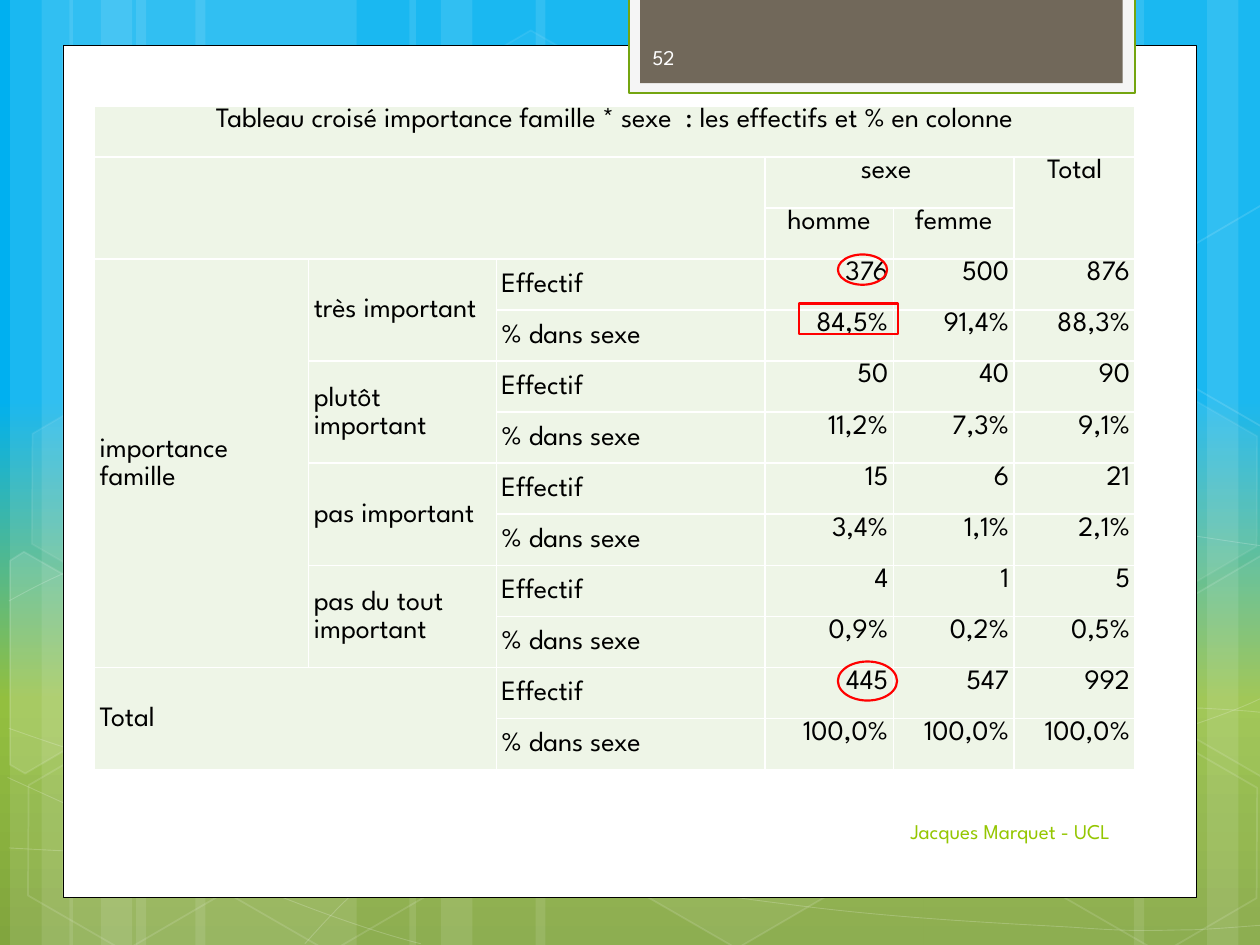
from copy import deepcopy
from typing import NamedTuple, Optional

from lxml.etree import SubElement
from pptx import Presentation
from pptx.dml.color import RGBColor
from pptx.enum.shapes import MSO_SHAPE as Shape
from pptx.enum.text import MSO_ANCHOR as Anchor, PP_ALIGN as Align
from pptx.oxml.ns import qn
from pptx.util import Inches, Pt

WHITE = RGBColor(0xFF, 0xFF, 0xFF)
BLACK = RGBColor(0, 0, 0)
RED = RGBColor(0xFF, 0, 0)
SKY = RGBColor(0x00, 0xB0, 0xF0)
MEADOW = RGBColor(0x93, 0xBF, 0x3F)
GRASS = RGBColor(0x81, 0xA5, 0x3E)
PALE_GREEN = RGBColor(0xEE, 0xF5, 0xE7)
OFF_WHITE = RGBColor(0xF5, 0xF5, 0xF5)
TAB_GREEN = RGBColor(0x74, 0xA5, 0x10)
TAUPE = RGBColor(0x71, 0x68, 0x5A)
LIME = RGBColor(0x94, 0xC6, 0x00)
NEAR_WHITE = RGBColor(0xFE, 0xFE, 0xFE)
FONT = "League Spartan"


class Paint(NamedTuple):
    fill: Optional[RGBColor] = None
    fill_alpha: int = 100
    line: Optional[RGBColor] = None
    line_width: float = 1
    line_alpha: int = 100


class Box(NamedTuple):
    kind: Shape
    left: float
    top: float
    width: float
    height: float
    paint: Paint


class Hexagon(NamedTuple):
    left: float
    top: float
    fill_alpha: int
    line_alpha: int


class Cropped(NamedTuple):
    points: list
    fill_alpha: int


class Header(NamedTuple):
    row: int
    col: int
    last_row: int
    last_col: int
    text: str
    align: Align = Align.LEFT
    anchor: Anchor = Anchor.MIDDLE


def set_alpha(color_parent, percent: int) -> None:
    if percent < 100:
        color = color_parent.find(qn("a:solidFill"))[0]
        SubElement(color, qn("a:alpha")).set("val", str(percent * 1000))


def apply_paint(shape, paint: Paint) -> None:
    shape.shadow.inherit = False
    if paint.fill is None:
        shape.fill.background()
    else:
        shape.fill.solid()
        shape.fill.fore_color.rgb = paint.fill
        set_alpha(shape._element.spPr, paint.fill_alpha)
    if paint.line is None:
        shape.line.fill.background()
    else:
        shape.line.color.rgb = paint.line
        shape.line.width = Pt(paint.line_width)
        set_alpha(shape._element.spPr.find(qn("a:ln")), paint.line_alpha)


def draw_box(slide, box: Box):
    shape = slide.shapes.add_shape(box.kind, *map(Inches, box[1:5]))
    apply_paint(shape, box.paint)
    return shape


def white_paint(fill_alpha: int, line_alpha: int) -> Paint:
    return Paint(WHITE if fill_alpha else None, fill_alpha, WHITE, 1, line_alpha)


def draw_hexagon(slide, hexagon: Hexagon) -> None:
    paint = white_paint(hexagon.fill_alpha, hexagon.line_alpha)
    shape = draw_box(slide, Box(Shape.HEXAGON, hexagon.left, hexagon.top, 1.75, 1.52, paint))
    shape.adjustments[0] = 0.285
    shape.rotation = 30


def draw_outline(slide, points: list, paint: Paint, closed: bool):
    start, *rest = [(Inches(x), Inches(y)) for x, y in points]
    builder = slide.shapes.build_freeform(*start)
    builder.add_line_segments(rest, close=closed)
    shape = builder.convert_to_shape()
    apply_paint(shape, paint)
    return shape


def draw_curve(slide, knots: list) -> None:
    shape = draw_outline(slide, knots, Paint(None, 100, WHITE, 0.5, 20), False)
    outline = next(shape._element.iter(qn("a:moveTo"))).getparent()
    segments = outline.findall(qn("a:lnTo"))
    for i in range(0, len(segments), 3):
        first, second, end = segments[i:i + 3]
        if knots[i] == knots[i + 1] and knots[i + 2] == knots[i + 3]:
            outline.remove(first)
            outline.remove(second)
            continue
        bezier = SubElement(outline, qn("a:cubicBezTo"))
        outline.replace(first, bezier)
        bezier.extend([first[0], second[0], end[0]])
        outline.remove(second)
        outline.remove(end)


def write_text(frame, text: str, *, size: float = 16, color: RGBColor = BLACK,
               align: Align = Align.LEFT, spacing: Optional[float] = None,
               indent: float = 0) -> None:
    frame.word_wrap = True
    paragraph = frame.paragraphs[0]
    paragraph.alignment = align
    if spacing:
        paragraph.line_spacing = Pt(spacing)
    if indent:
        for side in ("marL", "marR"):
            paragraph._p.get_or_add_pPr().set(side, str(Inches(indent)))
    run = paragraph.add_run()
    run.text = text
    run.font.name, run.font.size, run.font.color.rgb = FONT, Pt(size), color


def write_label(slide, text: str, left: float, top: float, width: float, **style) -> None:
    frame = slide.shapes.add_textbox(*map(Inches, (left, top, width, 0.4))).text_frame
    frame.vertical_anchor = Anchor.MIDDLE
    write_text(frame, text, size=12, **style)


def style_cell(cell) -> None:
    cell.margin_left = cell.margin_right = cell.margin_top = cell.margin_bottom = 0
    for side in ("lnL", "lnR", "lnT", "lnB"):
        border = SubElement(cell._tc.get_or_add_tcPr(), qn(f"a:{side}"), w=str(Pt(1)))
        SubElement(SubElement(border, qn("a:solidFill")), qn("a:srgbClr"), val=str(WHITE))
    cell.fill.solid()
    cell.fill.fore_color.rgb = PALE_GREEN


def fill_cell(cell, text: str, align: Align, anchor: Anchor) -> None:
    cell.vertical_anchor = anchor
    if text:
        write_text(cell.text_frame, text, align=align, spacing=16, indent=0.04)


def draw_crosstab(slide, headers: list, values: list) -> None:
    widths = (1.7, 1.49, 2.13, 1.02, 0.96, 0.96)
    row_count = len(values) + 3
    table = slide.shapes.add_table(row_count, len(widths), Inches(0.75), Inches(0.84),
                                   Inches(sum(widths)), Inches(5.27)).table
    table.first_row = table.horz_banding = False
    for column, width in zip(table.columns, widths):
        column.width = Inches(width)
    for cell in table.iter_cells():
        style_cell(cell)
    for header in headers:
        cell = table.cell(header.row, header.col)
        if (header.row, header.col) != (header.last_row, header.last_col):
            cell.merge(table.cell(header.last_row, header.last_col))
        fill_cell(cell, header.text, header.align, header.anchor)
    for row, figures in enumerate(values, 3):
        measure = "Effectif" if row % 2 else "% dans sexe"
        fill_cell(table.cell(row, 2), measure, Align.LEFT, Anchor.MIDDLE)
        for col, figure in enumerate(figures.split(), 3):
            fill_cell(table.cell(row, col), figure, Align.RIGHT, Anchor.TOP)


BANDS = [(1.08, 1.75), (0.08, 0.5), (0.33, 0.83), (1.55, 1.75), (0.55, 0.5), (0.8, 0.83),
         (7.33, 1.75), (9.58, 0.5), (9, 0.83), (4.25, 3.08), (3.25, 0.5), (3.5, 0.83)]
CURVES = [
    [(0.07, 6.73), (0.61, 6.76), (1.15, 6.79), (1.9, 6.78), (2.65, 6.77), (3.58, 6.75),
     (4.58, 6.65), (5.58, 6.55), (7, 6.36), (7.92, 6.17), (8.83, 5.98), (9.77, 5.68), (10.07, 5.51)],
    [(0.07, 4.77), (0.36, 4.61), (0.65, 4.46), (1.21, 4.31), (1.78, 4.16), (2.59, 3.94),
     (3.47, 3.87), (4.36, 3.8), (5.44, 3.79), (6.54, 3.87), (7.64, 3.95), (9.47, 4.26), (10.07, 4.34)],
    [(0.06, 6.17), (1.27, 6.72), (2.47, 7.27), (3.34, 7.49)],
    [(0.07, 5.78), (0.38, 5.89), (0.7, 6), (1.28, 6.16), (1.86, 6.31), (2.73, 6.56), (3.57, 6.73),
     (4.4, 6.9), (5.45, 7.08), (6.28, 7.18), (7.11, 7.29), (8, 7.33), (8.53, 7.36),
     (9.05, 7.4), (9.19, 7.38), (9.45, 7.38), (9.71, 7.37), (9.89, 7.35), (10.07, 7.34)],
    [(2.42, 7.49), (2.6, 7.29), (2.78, 7.09), (3.02, 6.91), (3.26, 6.73), (3.6, 6.53), (3.88, 6.39),
     (4.16, 6.25), (4.33, 6.19), (4.7, 6.09), (5.06, 5.99), (5.73, 5.85), (6.08, 5.78),
     (6.44, 5.71), (6.49, 5.71), (6.8, 5.69), (7.11, 5.66), (7.6, 5.63), (7.94, 5.62),
     (8.29, 5.61), (8.86, 5.62), (8.86, 5.62), (8.86, 5.62), (9.53, 5.62), (9.53, 5.62),
     (9.71, 5.63), (9.88, 5.64), (9.97, 5.65), (10.06, 5.66), (10.03, 5.65), (10.06, 5.66)],
]
HEXAGONS = [Hexagon(3.34, 0.36, 4, 8), Hexagon(4.97, 5.89, 6, 12), Hexagon(0.11, 5.91, 0, 12),
            Hexagon(0.14, 3.12, 7, 8), Hexagon(1.74, 5.92, 0, 12), Hexagon(7.53, 4.53, 10, 12),
            Hexagon(8.34, 5.93, 0, 12), Hexagon(8.34, 3.14, 7, 8)]
CROPPED_HEXAGONS = [
    Cropped([(0.08, 4.45), (0.19, 4.38), (0.96, 4.82), (0.95, 5.7), (0.2, 6.14), (0.08, 6.07)], 10),
    Cropped([(9.26, 4.85), (10.01, 4.41), (10.09, 4.46), (10.09, 6.13), (10.02, 6.17), (9.26, 5.73)], 4),
    Cropped([(9.26, 2.07), (10.01, 1.63), (10.1, 1.68), (10.09, 3.35), (10.02, 3.39), (9.26, 2.95)], 0),
]
PANELS = [Box(Shape.RECTANGLE, 0.5, 0.36, 9, 6.76, Paint(WHITE, line=BLACK, line_width=0.5)),
          Box(Shape.RECTANGLE, 4.99, -0.02, 4.02, 0.76, Paint(OFF_WHITE, line=TAB_GREEN, line_width=1.25)),
          Box(Shape.RECTANGLE, 5.08, -0.02, 3.83, 0.68, Paint(TAUPE))]
RED_LINE = Paint(line=RED, line_width=1.25)
HIGHLIGHTS = [Box(Shape.RECTANGLE, 6.34, 2.41, 0.79, 0.24, RED_LINE),
              Box(Shape.OVAL, 6.65, 2.02, 0.39, 0.24, RED_LINE),
              Box(Shape.OVAL, 6.65, 5.25, 0.47, 0.31, RED_LINE)]
LEVELS = ["très important", "plutôt important", "pas important", "pas du tout important"]
HEADERS = [
    Header(0, 0, 0, 5, "Tableau croisé importance famille * sexe  : les effectifs et % en colonne",
           Align.CENTER, Anchor.TOP),
    Header(1, 0, 2, 2, ""),
    Header(1, 3, 1, 4, "sexe ", Align.CENTER, Anchor.TOP),
    Header(1, 5, 2, 5, "Total", Align.CENTER, Anchor.TOP),
    Header(2, 3, 2, 3, "homme", Align.CENTER, Anchor.TOP),
    Header(2, 4, 2, 4, "femme", Align.CENTER, Anchor.TOP),
    Header(3, 0, 10, 0, "importance famille"),
    *(Header(row, 1, row + 1, 1, level) for row, level in zip(range(3, 11, 2), LEVELS)),
    Header(11, 0, 12, 1, "Total"),
]
VALUES = ["376 500 876", "84,5% 91,4% 88,3%", "50 40 90", "11,2% 7,3% 9,1%", "15 6 21",
          "3,4% 1,1% 2,1%", "4 1 5", "0,9% 0,2% 0,5%", "445 547 992", "100,0% 100,0% 100,0%"]
SKY_STOPS = [(0, SKY), (0.42, SKY), (0.74, MEADOW), (1, GRASS)]


def paint_background(slide) -> None:
    fill = slide.background.fill
    fill.gradient()
    fill.gradient_angle = 270
    stop_list = next(slide._element.iter(qn("a:gsLst")))
    stop_list.extend([deepcopy(stop) for stop in stop_list])
    for stop, (position, color) in zip(fill.gradient_stops, SKY_STOPS):
        stop.position, stop.color.rgb = position, color


def main() -> None:
    deck = Presentation()
    deck.slide_width, deck.slide_height = Inches(10), Inches(7.5)
    slide = deck.slides.add_slide(deck.slide_layouts[6])
    paint_background(slide)
    for left, width in BANDS:
        draw_box(slide, Box(Shape.RECTANGLE, left, 0, width, 7.5, Paint(WHITE, 10)))
    for knots in CURVES:
        draw_curve(slide, knots)
    for hexagon in HEXAGONS:
        draw_hexagon(slide, hexagon)
    for cropped in CROPPED_HEXAGONS:
        draw_outline(slide, cropped.points, white_paint(cropped.fill_alpha, 12), True)
    for panel in PANELS:
        draw_box(slide, panel)
    write_label(slide, "Jacques Marquet - UCL", 5.08, 6.4, 3.83, color=LIME, align=Align.RIGHT)
    write_label(slide, "52", 5.08, 0.25, 1.46, color=NEAR_WHITE)
    draw_crosstab(slide, HEADERS, VALUES)
    for highlight in HIGHLIGHTS:
        draw_box(slide, highlight)
    deck.save("out.pptx")


if __name__ == "__main__":
    main()
